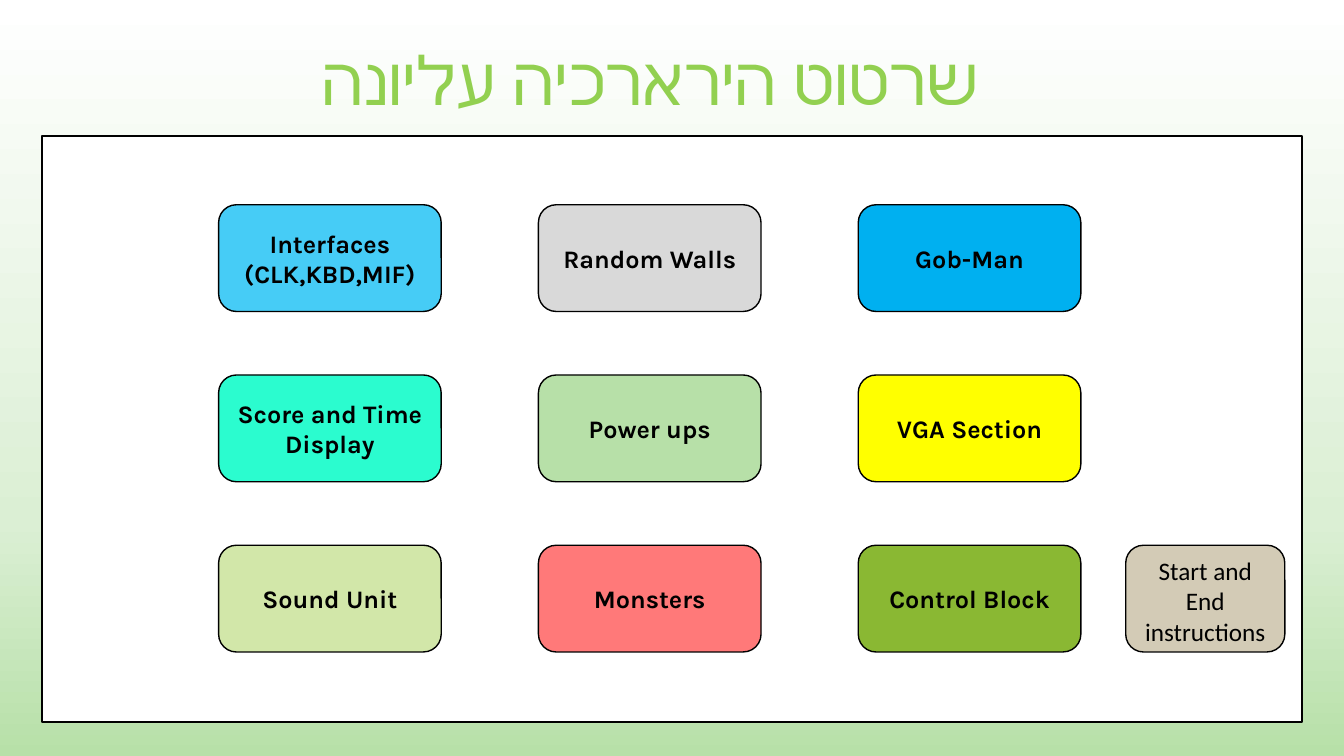
from copy import deepcopy
from pptx import Presentation
from pptx.dml.color import RGBColor as Rgb
from pptx.enum.shapes import MSO_SHAPE as Shape
from pptx.enum.text import MSO_ANCHOR as Anchor, PP_ALIGN as Align
from pptx.oxml.ns import qn
from pptx.util import Cm, Pt

BLOCKS = [
    [("Interfaces\n(CLK,KBD,MIF)", "46CCF6"), ("Random Walls", "D9D9D9"), ("Gob-Man", "00B0F0")],
    [("Score and Time Display", "2BFCCF"), ("Power ups", "B7E0A8"), ("VGA Section", "FFFF00")],
    [("Sound Unit", "D2E7A9"), ("Monsters", "FF7979"), ("Control Block", "8AB833")],
]


def color(code):
    """Turn a hex string into a colour."""
    return Rgb.from_string(code)


def write(frame, text, face, size, ink, bold=False):
    """Fill a text frame with centred, formatted text."""
    frame.word_wrap = True
    frame.text = text
    for para in frame.paragraphs:
        para.alignment = Align.CENTER
        for run in para.runs:
            font = run.font
            font.name, font.size, font.bold = face, Pt(size), bold
            font.color.rgb = color(ink)


def panel(slide, kind, box, fill, width):
    """Draw a filled shape with a black outline."""
    shape = slide.shapes.add_shape(kind, *map(Cm, box))
    shape.shadow.inherit = False
    shape.fill.solid()
    shape.fill.fore_color.rgb = color(fill)
    shape.line.color.rgb = color("000000")
    shape.line.width = Pt(width)
    return shape


def block(slide, box, text, fill, face="Karla", bold=True, anchor=Anchor.MIDDLE):
    """Draw one rounded unit of the diagram."""
    shape = panel(slide, Shape.ROUNDED_RECTANGLE, box, fill, 1)
    write(shape.text_frame, text, face, 18, "000000", bold)
    shape.text_frame.vertical_anchor = anchor


def backdrop(slide):
    """Paint the white to green background."""
    fill = slide.background.fill
    fill.gradient()
    fill.gradient_angle = 270
    last = fill.gradient_stops[1]
    stops = slide.background._cSld.find(".//" + qn("a:gsLst"))
    stops.append(deepcopy(stops[-1]))
    tints = [(0, "FFFFFF"), (0.69, "DBEFD4"), (1, "B7E0A8")]
    for stop, (place, code) in zip(fill.gradient_stops, tints):
        stop.position = place
        stop.color.rgb = color(code)


def title(slide, box):
    """Write the right-to-left heading."""
    frame = slide.shapes.add_textbox(*map(Cm, box)).text_frame
    write(frame, "שרטוט הירארכיה עליונה", "Roboto Condensed", 48, "92D050")
    frame.paragraphs[0]._p.get_or_add_pPr().set("rtl", "1")


def diagram(slide, box):
    """Draw the frame, the grid of units and the side unit."""
    left, top, _, _ = box
    panel(slide, Shape.RECTANGLE, box, "FFFFFF", 1.5)
    wide, high, across, down = 5.61, 2.69, 8.06, 4.29
    x, y = left + 4.44, top + 1.73
    for i, row in enumerate(BLOCKS):
        for j, (text, fill) in enumerate(row):
            block(slide, (x + j * across, y + i * down, wide, high), text, fill)
    side = (left + 27.3, y + 2 * down, 4.01, high)
    block(slide, side, "Start and End instructions", "D3CBB6", "Calibri", False, Anchor.TOP)


def main():
    """Build and save the slide."""
    deck = Presentation()
    deck.slide_width, deck.slide_height = Cm(33.87), Cm(19.05)
    slide = deck.slides.add_slide(deck.slide_layouts[6])
    backdrop(slide)
    diagram(slide, (1.07, 3.43, 31.75, 14.76))
    title(slide, (7.59, 0.84, 17.58, 2.31))
    deck.save("out.pptx")


if __name__ == "__main__":
    main()
